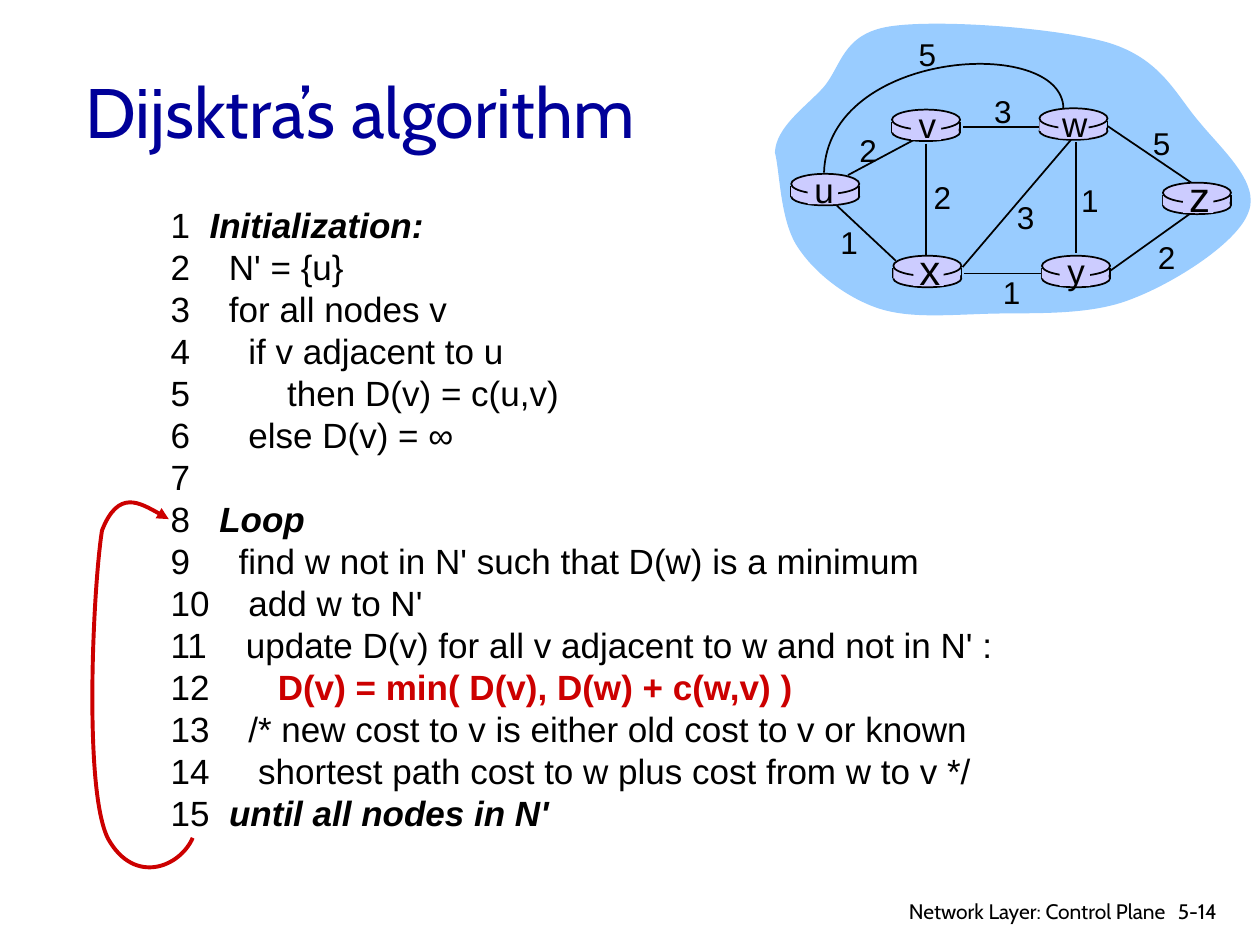
from lxml import etree
from pptx import Presentation
from pptx import util as u
from pptx.dml.color import RGBColor
from pptx.enum import shapes, text
from pptx.oxml import ns

THEME = {
    "title": RGBColor(0x00, 0x00, 0x99), "ink": RGBColor(0, 0, 0),
    "accent": RGBColor(0xCC, 0x00, 0x00), "cloud": RGBColor(0x99, 0xCC, 0xFF),
    "router": RGBColor(0xCC, 0xCC, 0xFF),
    "head_font": "Cabin", "body_font": "Arial",
    "title_size": 40, "code_size": 20, "weight_size": 18, "footer_size": 12,
}

prs = Presentation()
prs.slide_width, prs.slide_height = u.Inches(10), u.Inches(7.5)
CELL = prs.slide_width // 100  # the slide is a grid of 100 columns by 75 rows
s = prs.slides.add_slide(prs.slide_layouts.get_by_name("Title Only"))


def grid(*cells):
    """Turn grid columns and rows into slide lengths."""
    return [u.Emu(round(c * CELL)) for c in cells]


def add_curve(start, points, closed=False):
    """Draw cubic curves; every three points are two controls and an end."""
    builder = s.shapes.build_freeform(*grid(*start), scale=1.0)
    builder.add_line_segments([grid(*p) for p in points], close=closed)
    sp = builder.convert_to_shape()
    corners = sp._element.findall(".//" + ns.qn("a:lnTo"))
    for i in range(0, len(corners), 3):
        curve = etree.Element(ns.qn("a:cubicBezTo"))
        corners[i].addprevious(curve)
        for corner in corners[i:i + 3]:
            curve.append(corner[0])
            corner.getparent().remove(corner)
    sp.shadow.inherit = False
    sp.fill.background()
    return sp


# Title
title = s.shapes.title
title.left, title.top, title.width, title.height = grid(5.8, 2.5, 85, 12.5)
title.text_frame.vertical_anchor = text.MSO_ANCHOR.MIDDLE
p = title.text_frame.paragraphs[0]
p.text = "Dijsktra’s algorithm"
p.alignment = text.PP_ALIGN.LEFT
p.font.name, p.font.size = THEME["head_font"], u.Pt(THEME["title_size"])
p.font.color.rgb = THEME["title"]
p.runs[0]._r.get_or_add_rPr().set("kern", "0")

# Pseudocode: plain part, emphasised part, style of the emphasis
CODE = [
    ("1  ", "Initialization:", "keyword"),
    ("2    N' = {u}", "", ""),
    ("3    for all nodes v", "", ""),
    ("4      if v adjacent to u", "", ""),
    ("5          then D(v) = c(u,v)", "", ""),
    ("6      else D(v) = ∞", "", ""),
    ("7", "", ""),
    ("8   ", "Loop", "keyword"),
    ("9     find w not in N' such that D(w) is a minimum", "", ""),
    ("10    add w to N'", "", ""),
    ("11    update D(v) for all v adjacent to w and not in N' :", "", ""),
    ("12       ", "D(v) = min( D(v), D(w) + c(w,v) )", "update"),
    ("13    /* new cost to v is either old cost to v or known", "", ""),
    ("14     shortest path cost to w plus cost from w to v */", "", ""),
    ("15  ", "until all nodes in N'", "keyword"),
]
tf = s.shapes.add_textbox(*grid(12.56, 15.64, 68, 51)).text_frame
tf.word_wrap = False
for i, (plain, strong, style) in enumerate(CODE):
    p = tf.paragraphs[0] if i == 0 else tf.add_paragraph()
    p.line_spacing = u.Pt(24)
    p.font.name, p.font.size = THEME["body_font"], u.Pt(THEME["code_size"])
    p.font.color.rgb = THEME["ink"]
    p.add_run().text = plain
    if strong:
        r = p.add_run()
        r.text = strong
        r.font.bold = True
        if style == "keyword":
            r.font.italic = True
        else:
            r.font.color.rgb = THEME["accent"]

# Arrow from line 15 back to line 8
loop = add_curve((15.3, 66.5), [(14.3, 68.8), (10.7, 70.3), (8.6, 66.6),
                                (6.6, 62.8), (7.4, 46.5), (8.1, 42.1),
                                (9.4, 38.8), (11.7, 40.2), (13.4, 41.2)])
loop.line.color.rgb, loop.line.width = THEME["accent"], u.Pt(2.25)
etree.SubElement(loop.line._get_or_add_ln(), ns.qn("a:tailEnd"), type="triangle")

# Footer
for x, w, words, align in [(92.5, 6, "5-14", text.PP_ALIGN.LEFT),
                           (69.7, 23.8, "Network Layer: Control Plane", text.PP_ALIGN.RIGHT)]:
    tf = s.shapes.add_textbox(*grid(x, 70.8, w, 2.8)).text_frame
    tf.word_wrap = True
    p = tf.paragraphs[0]
    p.text, p.alignment = words, align
    p.font.name, p.font.size = THEME["head_font"], u.Pt(THEME["footer_size"])
    p.font.color.rgb = THEME["ink"]

# Network cloud
cloud = add_curve((61.5, 12.1), [
    (61.6, 10.1), (63.8, 8.6), (65.3, 7), (66.8, 5.3), (66.8, 2.7), (70.6, 2.1),
    (74.4, 1.5), (83.9, 2.2), (88, 3.4), (92.2, 4.7), (93.3, 7.5), (95.2, 9.7),
    (97, 11.9), (100, 14.5), (99.1, 16.8), (98.3, 19.2), (93.3, 22.4), (89.9, 23.7),
    (86.5, 25.1), (81.9, 24.8), (78.5, 24.9), (75.1, 25), (72, 25.3), (69.5, 24.4),
    (67, 23.5), (64.6, 21.6), (63.3, 19.6), (61.9, 17.5), (61.9, 13.6), (61.5, 12.1),
], closed=True)
cloud.fill.solid()
cloud.fill.fore_color.rgb = THEME["cloud"]
cloud.line.fill.background()

# Links: ends, then weight and the centre of its label
LINKS = [
    ((67.3, 13.9, 73.1, 10.8), "2", 68.9, 11.9),
    ((73.5, 11.4, 73.5, 20.4), "2", 74.8, 15.6),
    ((71.1, 20.7, 66.4, 16.3), "1", 67.4, 19.2),
    ((76.4, 21.2, 85, 11.1), "3", 81.4, 17.2),
    ((82.7, 21.7, 76.5, 21.7), "1", 80.3, 23.2),
    ((85.4, 11.3, 85.4, 20.1), "1", 86.5, 15.9),
    ((88.1, 21.5, 94.4, 17), "2", 92.6, 20.4),
    ((94.7, 14.6, 87.9, 10), "5", 92.2, 11.3),
    ((82.6, 10.1, 76.4, 10.1), "3", 79.6, 8.8),
]
STRAIGHT = shapes.MSO_CONNECTOR.STRAIGHT
for ends, *_ in LINKS:
    s.shapes.add_connector(STRAIGHT, *grid(*ends))
bypass = add_curve((84.4, 8.6), [(84.3, 2.8), (65.7, 3.9), (65.4, 13.7)])
bypass.line.color.rgb, bypass.line.width = THEME["ink"], u.Pt(1)
labels = [(cx, cy, weight, THEME["weight_size"]) for _, weight, cx, cy in LINKS]
labels.append((73.6, 4.3, "5", THEME["weight_size"]))

# Routers: a flat cylinder whose letter sits on a patch
ROUTERS = [("u", 62.8, 13.8, 65.4, 20), ("x", 70.9, 20.3, 73.8, 24),
           ("v", 70.8, 8.7, 73.6, 20), ("w", 82.5, 8.6, 85.3, 20),
           ("y", 82.7, 20.3, 85.4, 20), ("z", 92.3, 14.5, 95.2, 24)]
OVAL, RECT = shapes.MSO_SHAPE.OVAL, shapes.MSO_SHAPE.RECTANGLE
for name, x, y, cx, size in ROUTERS:
    parts = [(OVAL, x, y + 1.1, 5.4, 1.4), (RECT, x, y + 1, 5.3, 0.8),
             (OVAL, x, y, 5.4, 1.6), (RECT, cx - 1.3, y + 0.2, 2.4, 2.2)]
    for side in (x, x + 5.4):
        s.shapes.add_connector(STRAIGHT, *grid(side, y + 1, side, y + 1.8))
    for kind, *box in parts:
        sp = s.shapes.add_shape(kind, *grid(*box))
        sp.shadow.inherit = False
        sp.fill.solid()
        sp.fill.fore_color.rgb = THEME["router"]
        if kind == OVAL:
            sp.line.color.rgb, sp.line.width = THEME["ink"], u.Pt(1)
        else:
            sp.line.fill.background()
    labels.append((cx, y + (1 if size == 24 else 1.2), name, size))

for c in s.shapes:
    if c.shape_type == shapes.MSO_SHAPE_TYPE.LINE:
        c.line.color.rgb, c.line.width = THEME["ink"], u.Pt(1)
        etree.SubElement(c._element.spPr, ns.qn("a:effectLst"))

# Router letters and link weights
for cx, cy, words, size in labels:
    tf = s.shapes.add_textbox(*grid(cx - 2, cy - 2.1, 4, 4.2)).text_frame
    tf.word_wrap = False
    tf.vertical_anchor = text.MSO_ANCHOR.MIDDLE
    p = tf.paragraphs[0]
    p.text, p.alignment = words, text.PP_ALIGN.CENTER
    p.font.name, p.font.size = THEME["body_font"], u.Pt(size)
    p.font.color.rgb = THEME["ink"]

prs.save("out.pptx")
